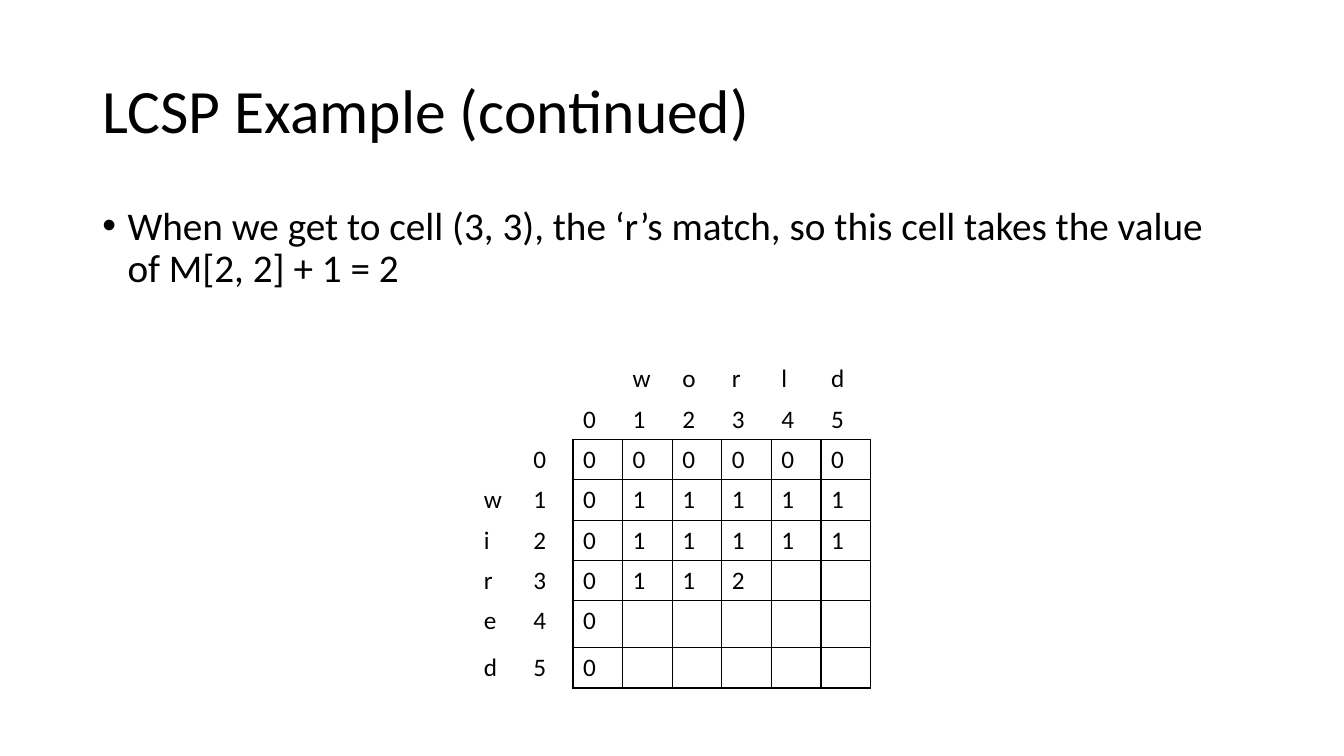
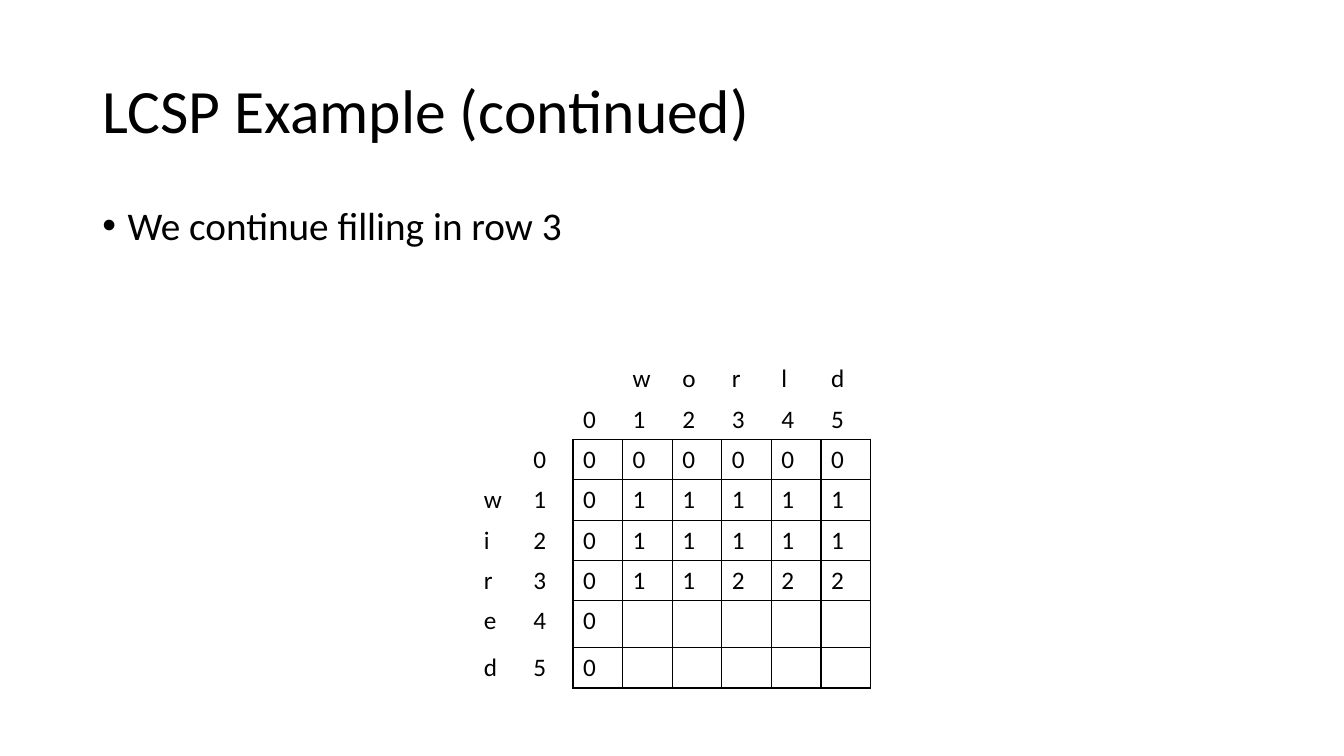
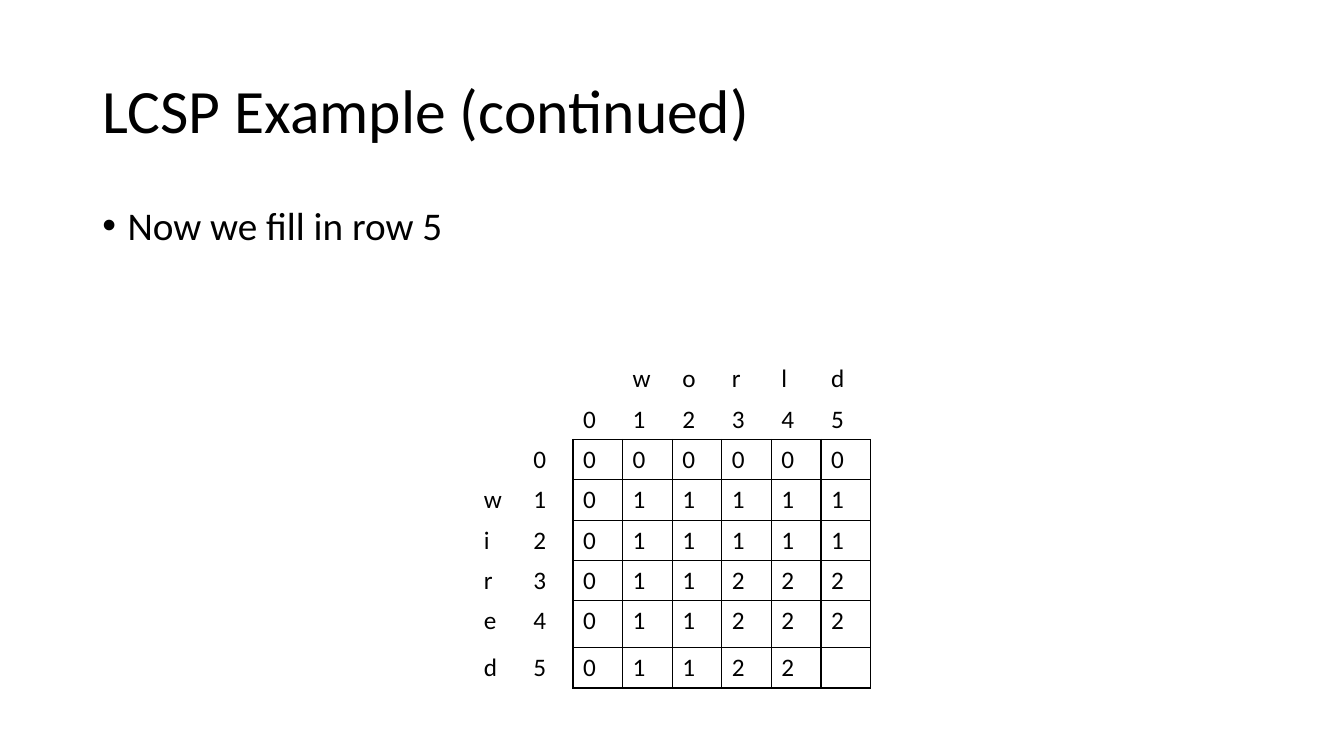
from lxml.etree import SubElement
from pptx import Presentation
from pptx.dml.color import RGBColor
from pptx.enum.text import MSO_ANCHOR as Anchor, MSO_AUTO_SIZE as AutoSize, PP_ALIGN as Align
from pptx.oxml.ns import qn
from pptx.util import Inches, Pt

TITLE = "LCSP Example (continued)"
ACROSS, DOWN = "world", "wired"
LABELS = 2  # label rows above the matrix and label columns beside it

# Bullet text, and the last matrix cell (row, column) filled so far
STEPS = [
    ("When we get to cell (3, 3), the ‘r’s match, so this cell takes the value of M[2, 2] + 1 = 2",
     (3, 3)),
    ("We continue filling in row 3", (3, 5)),
    ("Now we fill in row 5", (5, 4)),
]


def color(hex_string):
    return RGBColor.from_string(hex_string)


def lcs_lengths(down, across):
    """Lengths of the longest common subsequences of all prefixes."""
    lengths = [[0] * (len(across) + 1) for _ in range(len(down) + 1)]
    for i, a in enumerate(down, 1):
        for j, b in enumerate(across, 1):
            lengths[i][j] = (lengths[i - 1][j - 1] + 1 if a == b
                             else max(lengths[i - 1][j], lengths[i][j - 1]))
    return lengths


def labelled_matrix(last_filled):
    """Rows of cell texts: letters, indices, then the values known so far."""
    rows = [["", "", "", *ACROSS],
            ["", "", *map(str, range(len(ACROSS) + 1))]]
    for i, lengths in enumerate(lcs_lengths(DOWN, ACROSS)):
        values = [str(n) if i == 0 or j == 0 or (i, j) <= last_filled else ""
                  for j, n in enumerate(lengths)]
        rows.append([" ".join(DOWN[i - 1:i]), str(i), *values])
    return rows


class Deck:
    """Style and current slide; lengths are units of a 160 by 90 grid."""
    FONT, INK = "Calibri", "000000"
    MARGIN, WIDTH = 11, 138
    COLUMN, ROW, TALL_ROW = 5.91, 4.56, 5.58

    def __init__(self):
        self.show = Presentation()
        self.show.slide_width, self.show.slide_height = Inches(13.333), Inches(7.5)
        self.slide = None

    def units(self, *lengths):
        return [int(self.show.slide_width * n / 160) for n in lengths]

    def style(self, paragraph, size):
        font = paragraph.font
        font.name, font.size, font.color.rgb = self.FONT, Pt(size), color(self.INK)

    def new_slide(self, title):
        self.slide = self.show.slides.add_slide(self.show.slide_layouts[5])
        heading = self.slide.shapes.title
        heading.left, heading.top, heading.width, heading.height = self.units(
            self.MARGIN, 4.8, self.WIDTH, 17.4)
        frame = heading.text_frame
        frame.text = title
        frame.auto_size, frame.vertical_anchor = AutoSize.NONE, Anchor.MIDDLE
        line = frame.paragraphs[0]
        line.alignment, line.line_spacing = Align.LEFT, 0.9
        self.style(line, 44)

    def bullet(self, text):
        frame = self.slide.shapes.add_textbox(
            *self.units(self.MARGIN, 24, self.WIDTH, 57.1)).text_frame
        frame.word_wrap = True
        frame.text = text
        point = frame.paragraphs[0]
        props = point._p.get_or_add_pPr()
        props.set("marL", str(Inches(0.25)))
        props.set("indent", str(-Inches(0.25)))
        SubElement(props, qn("a:buFont"), typeface="Arial")
        SubElement(props, qn("a:buChar"), char="•")
        point.line_spacing = 0.9
        self.style(point, 28)

    def borders(self, cell, lined_sides):
        props = cell._tc.get_or_add_tcPr()
        for side in "LRTB":
            line = SubElement(props, qn(f"a:ln{side}"), w=str(Pt(1)))
            if side in lined_sides:
                fill = SubElement(line, qn("a:solidFill"))
                SubElement(fill, qn("a:srgbClr"), val=self.INK)
            else:
                SubElement(line, qn("a:noFill"))

    def matrix(self, rows):
        heights = [self.ROW] * len(rows)
        heights[-2] = self.TALL_ROW
        count = len(rows[0])
        table = self.slide.shapes.add_table(len(rows), count, *self.units(
            56.4, 42.7, count * self.COLUMN, sum(heights))).table
        table.first_row = table.horz_banding = False
        for column in table.columns:
            column.width, = self.units(self.COLUMN)
        for i, (texts, height) in enumerate(zip(rows, heights)):
            table.rows[i].height, = self.units(height)
            for j, text in enumerate(texts):
                cell = table.cell(i, j)
                # Labels carry only the line they share with the matrix
                if i >= LABELS and j >= LABELS:
                    sides = "LRTB"
                elif i >= LABELS:
                    sides = "R" if j == LABELS - 1 else ""
                else:
                    sides = "B" if i == LABELS - 1 and j >= LABELS else ""
                self.borders(cell, sides)
                cell.fill.background()
                cell.text = text
                self.style(cell.text_frame.paragraphs[0], 18)


def main():
    deck = Deck()
    for text, last_filled in STEPS:
        deck.new_slide(TITLE)
        deck.bullet(text)
        deck.matrix(labelled_matrix(last_filled))
    deck.show.save("out.pptx")


if __name__ == "__main__":
    main()
